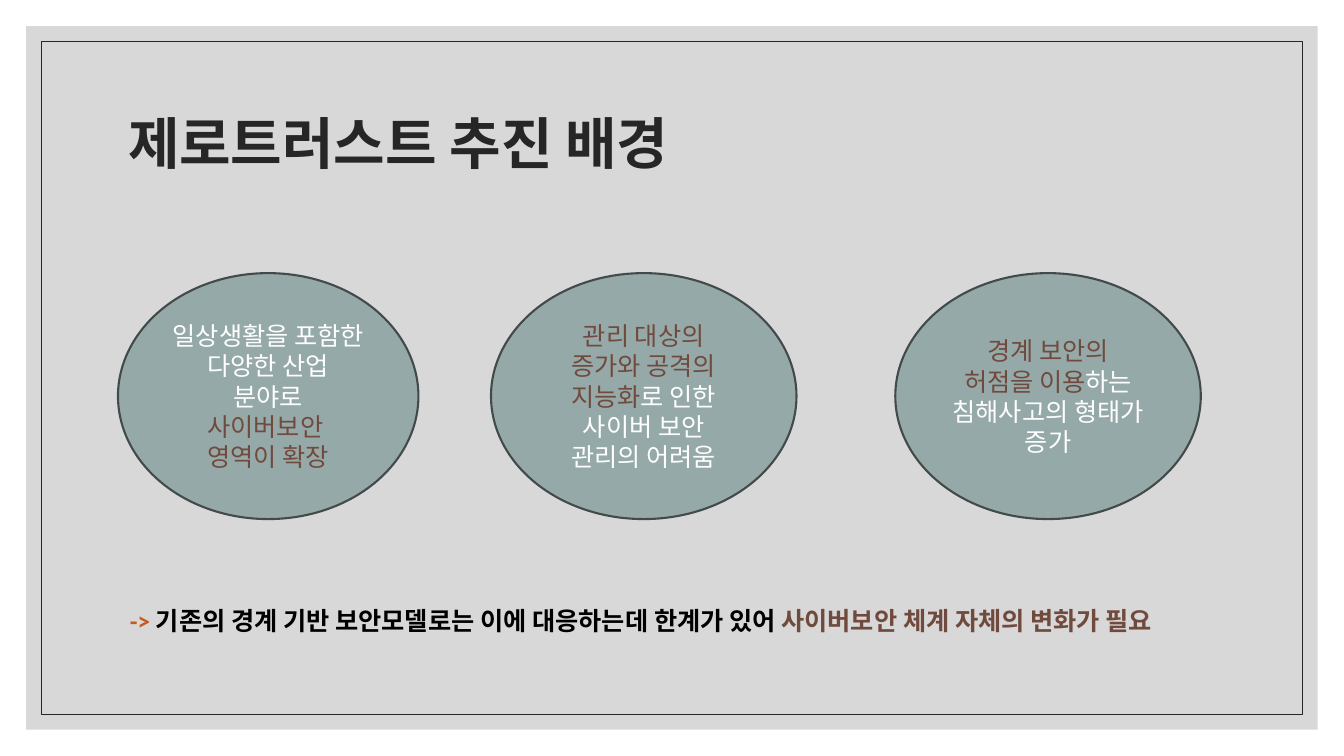
from lxml import etree
from pptx import Presentation
from pptx import util as u
from pptx.dml.color import RGBColor
from pptx.enum import shapes, text
from pptx.oxml.ns import qn

WIDTH, HEIGHT = 13.33, 7.5
FONT = "Calibri"
COLORS = {
    "panel": "BFBFBF", "ink": "262626", "oval": "96A9A9", "edge": "424A4A",
    "white": "FFFFFF", "brown": "704A3D", "orange": "CB581F", "black": "000000",
}
OVALS = [
    (1.17, 2.98, [[("일상생활을 포함한 다양한 산업 분야로", "white")],
                  [("사이버보안 ", "brown")],
                  [("영역이 확장", "brown")]]),
    (4.87, 3.03, [[("관리 대상의 증가와 공격의 지능화", "brown"),
                   ("로 인한 사이버 보안 관리의 어려움", "white")]]),
    (8.88, 3.03, [[("경계 보안의 허점을 이용", "brown"),
                   ("하는 침해사고의 형태가 증가", "white")]]),
]
CONCLUSION = [[
    ("-> ", "orange"),
    ("기존의 경계 기반 보안모델로는 이에 대응하는데 한계가 있어 ", "black"),
    ("사이버보안 체계 자체의 변화가 필요", "brown"),
]]


def color(name):
    return RGBColor.from_string(COLORS[name])


def inches(box):
    return [u.Inches(length) for length in box]


def write(frame, paragraphs, size, align, bold=False):
    frame.word_wrap = True
    for index, runs in enumerate(paragraphs):
        para = frame.paragraphs[0] if index == 0 else frame.add_paragraph()
        para.alignment = align
        for words, tint in runs:
            span = para.add_run()
            span.text = words
            span.font.name = FONT
            span.font.size = u.Pt(size)
            span.font.bold = bold
            span.font.color.rgb = color(tint)


def add_shape(page, kind, box, fill=None, line=None, weight=0):
    shape = page.shapes.add_shape(kind, *inches(box))
    shape.shadow.inherit = False
    if fill:
        shape.fill.solid()
        shape.fill.fore_color.rgb = color(fill)
    else:
        shape.fill.background()
    if line:
        shape.line.color.rgb = color(line)
        shape.line.width = u.Pt(weight)
    else:
        shape.line.fill.background()
    return shape


def add_backdrop(page, panel_margin, frame_margin):
    def inset(margin):
        return margin, margin, WIDTH - 2 * margin, HEIGHT - 2 * margin

    rect = shapes.MSO_SHAPE.RECTANGLE
    panel = add_shape(page, rect, inset(panel_margin), fill="panel")
    tint = panel.fill._xPr.find(qn("a:solidFill"))[0]
    etree.SubElement(tint, qn("a:alpha")).set("val", "60000")
    frame = add_shape(page, rect, inset(frame_margin), line="ink", weight=0.5)
    title = page.shapes.title._element
    for shape in (panel, frame):
        title.addprevious(shape._element)


def add_title(page, box, words):
    title = page.shapes.title
    title.left, title.top, title.width, title.height = inches(box)
    frame = title.text_frame
    frame.auto_size = text.MSO_AUTO_SIZE.NONE
    frame.vertical_anchor = text.MSO_ANCHOR.MIDDLE
    write(frame, [[(words, "ink")]], 40, text.PP_ALIGN.LEFT, bold=True)
    frame.paragraphs[0].line_spacing = 0.9


def add_ovals(page, top, height):
    for left, width, paragraphs in OVALS:
        oval = add_shape(page, shapes.MSO_SHAPE.OVAL, (left, top, width, height),
                         "oval", "edge", 1.5)
        oval.text_frame.vertical_anchor = text.MSO_ANCHOR.MIDDLE
        write(oval.text_frame, paragraphs, 18, text.PP_ALIGN.CENTER)


def add_conclusion(page, box):
    frame = page.shapes.add_textbox(*inches(box)).text_frame
    frame.auto_size = text.MSO_AUTO_SIZE.SHAPE_TO_FIT_TEXT
    write(frame, CONCLUSION, 18, text.PP_ALIGN.LEFT, bold=True)


def main():
    deck = Presentation()
    deck.slide_width, deck.slide_height = inches((WIDTH, HEIGHT))
    page = deck.slides.add_slide(deck.slide_layouts.get_by_name("Title Only"))
    add_backdrop(page, 0.26, 0.41)
    add_title(page, (1.17, 0.7, 11, 1.5), "제로트러스트 추진 배경")
    add_ovals(page, 2.71, 2.44)
    add_conclusion(page, (1.19, 5.96, 10.95, 0.4))
    deck.save("out.pptx")


if __name__ == "__main__":
    main()
